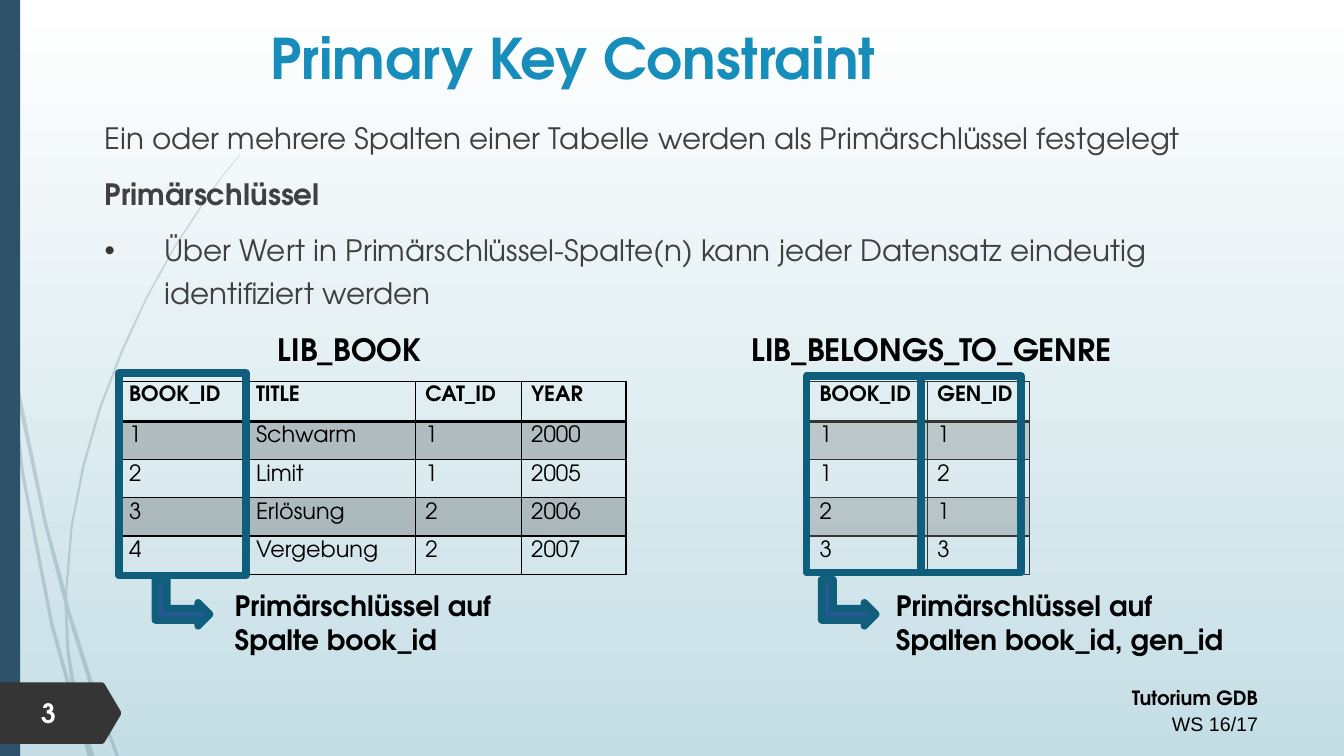
from lxml.etree import SubElement
from pptx import Presentation
from pptx.dml.color import RGBColor
from pptx.enum.shapes import MSO_SHAPE
from pptx.enum.text import MSO_ANCHOR, MSO_AUTO_SIZE, PP_ALIGN
from pptx.oxml.ns import qn
from pptx.util import Pt

COLORS = {
    "sky": "C5DEE5", "white": "FFFFFF", "black": "000000", "dark": "353535",
    "body": "404040", "title": "178DBB", "bar": "2E5369",
    "frame": "0F5E7C", "arrow": "265991",
}
FONT = "TeX Gyre Adventor"


class SlideBuilder:
    def __init__(self, slide):
        self.s = slide

    def rgb(self, name):
        return RGBColor.from_string(COLORS[name])

    def background(self, top, bottom):
        fill = self.s.background.fill
        fill.gradient()
        fill.gradient_angle = 270
        for stop, name in zip(fill.gradient_stops, (top, bottom)):
            stop.color.rgb = self.rgb(name)

    def fill(self, target, color=None):
        if color is None:
            target.fill.background()
        else:
            target.fill.solid()
            target.fill.fore_color.rgb = self.rgb(color)

    def opacity(self, props, percent):
        clr = props.find(qn("a:solidFill"))[0]
        SubElement(clr, qn("a:alpha"), val=str(percent * 1000))

    def line(self, sp, color=None, width=5.25):
        if color is None:
            sp.line.fill.background()
        else:
            sp.line.color.rgb = self.rgb(color)
            sp.line.width = Pt(width)

    def shape(self, kind, box, fill=None, line=None, rotation=0):
        sp = self.s.shapes.add_shape(kind, *map(Pt, box))
        sp.shadow.inherit = False
        sp.rotation = rotation
        self.fill(sp, fill)
        self.line(sp, line)

    def outline(self, points, fill, percent=100):
        first, *rest = [(Pt(x), Pt(y)) for x, y in points]
        fb = self.s.shapes.build_freeform(*first)
        fb.add_line_segments(rest, close=True)
        sp = fb.convert_to_shape()
        sp.shadow.inherit = False
        self.fill(sp, fill)
        self.opacity(sp._element.spPr, percent)
        self.line(sp)

    def style_text(self, p, text, size, color="black", bold=True, font=FONT, **para):
        for key, value in para.items():
            setattr(p, key, value)
        r = p.add_run()
        r.text = text
        fmt = {"size": Pt(size), "name": font, "bold": bold}
        for key, value in fmt.items():
            setattr(r.font, key, value)
        r.font.color.rgb = self.rgb(color)

    def bullet(self, p, char, indent, color):
        pPr = p._p.get_or_add_pPr()
        pPr.set("marL", str(Pt(indent)))
        pPr.set("indent", str(Pt(-indent)))
        SubElement(SubElement(pPr, qn("a:buClr")), qn("a:srgbClr"), val=COLORS[color])
        SubElement(pPr, qn("a:buFont"), typeface="Arial")
        SubElement(pPr, qn("a:buChar"), char=char)

    def title(self, text, box, size, color):
        sp = self.s.shapes.title
        for key, value in zip(("left", "top", "width", "height"), box):
            setattr(sp, key, Pt(value))
        tf = sp.text_frame
        fmt = {"auto_size": MSO_AUTO_SIZE.NONE, "vertical_anchor": MSO_ANCHOR.MIDDLE}
        for key, value in fmt.items():
            setattr(tf, key, value)
        self.style_text(tf.paragraphs[0], text, size, color, alignment=PP_ALIGN.CENTER)

    def text(self, box, *paragraphs):
        tf = self.s.shapes.add_textbox(*map(Pt, box)).text_frame
        tf.word_wrap = True
        for i, fmt in enumerate(paragraphs):
            p = tf.add_paragraph() if i else tf.paragraphs[0]
            self.style_text(p, **fmt)
        return tf

    def borders(self, cell, color, bottom):
        tcPr = cell._tc.get_or_add_tcPr()
        for side in "LRTB":
            width = bottom if side == "B" else 1
            ln = SubElement(tcPr, qn("a:ln" + side), w=str(Pt(width)))
            SubElement(SubElement(ln, qn("a:solidFill")), qn("a:srgbClr"), val=COLORS[color])

    def table(self, left, top, widths, heights, rows, color):
        box = (left, top, sum(widths), sum(heights))
        tbl = self.s.shapes.add_table(len(rows), len(widths), *map(Pt, box)).table
        tbl.first_row = tbl.horz_banding = False
        for col, width in zip(tbl.columns, widths):
            col.width = Pt(width)
        for i, (row, height) in enumerate(zip(rows, heights)):
            tbl.rows[i].height = Pt(height)
            header, shaded = i == 0, i % 2 == 1
            for j, text in enumerate(row):
                cell = tbl.cell(i, j)
                p = cell.text_frame.paragraphs[0]
                self.style_text(p, text, 15 if header else 16, bold=header)
                self.borders(cell, color, 2 if header else 1)
                self.fill(cell, color if shaded else None)
                if shaded:
                    self.opacity(cell._tc.tcPr, 20)


# Decorative strands, as outline points
STRANDS = [
    [(5.8, 252), (4.3, 231.8), (0, 203), (0, 215.3), (5.8, 247.7)],
    [(31.7, 375.8), (46.1, 431.3), (46.8, 421.9), (33.8, 374.4), (7.9, 248.4), (9.4, 270.7)],
    [(50.4, 437), (48.2, 429.1), (48.2, 439.2), (67, 499.7), (82.8, 540), (85, 540), (69.8, 498.2)],
    [(65.5, 540), (67.7, 540), (57.6, 511.9)],
    [(51.1, 491.8), (38.2, 445.7), (17.3, 337.7), (9.4, 270.7), (5.8, 252),
     (15.1, 338.4), (36, 447.1), (50.4, 499), (55.4, 514.1), (54, 509)],
    [(46.1, 431.3), (47.5, 465.1), (51.1, 491.8), (52.6, 498.2), (57.6, 511.9),
     (56.9, 508.3), (49.7, 465.1), (48.2, 439.2), (48.2, 437.8)],
    [(48.2, 420.5), (52, 376), (60.5, 332.6), (72.5, 291), (87.8, 251.3), (105.3, 213),
     (125.3, 176.4), (147.6, 142.6), (159.1, 126), (171.4, 110.9), (171.4, 110.2),
     (158.4, 126), (146.9, 141.8), (124.6, 175.7), (104.2, 212.4), (86.4, 250.6),
     (71, 290.5), (59, 331.9), (50.4, 375.7), (46.8, 420.5), (48.2, 429.1)],
    [(55.4, 514.1), (62.6, 540), (64.8, 540)],
    [(48.2, 437.8), (48.2, 439.2), (48.2, 429.1), (46.8, 421.9), (46.1, 431.3)],
    [(53.3, 498.2), (51.1, 491.8), (54, 509), (55.4, 514.1), (64.8, 540), (65.5, 540), (57.6, 511.9)],
]
ROW_HEIGHTS = [28.8] + [27.3] * 4
BOOKS = [
    ("BOOK_ID", "TITLE", "CAT_ID", "YEAR"),
    ("1", "Schwarm", "1", "2000"),
    ("2", "Limit", "1", "2005"),
    ("3", "Erlösung", "2", "2006"),
    ("4", "Vergebung", "2", "2007"),
]
GENRES = [("BOOK_ID", "GEN_ID"), ("1", "1"), ("1", "2"), ("2", "1"), ("3", "3")]


def main():
    prs = Presentation()
    prs.slide_width, prs.slide_height = Pt(960), Pt(540)
    b = SlideBuilder(prs.slides.add_slide(prs.slide_layouts[5]))

    # Background, side bar and page tag
    b.background("white", "sky")
    for points in STRANDS:
        b.outline(points, "bar", 20)
    b.shape(MSO_SHAPE.RECTANGLE, (0, 0, 14.4, 540), "bar")
    b.outline([(0, 487.4), (73, 487.4), (74.5, 488.2), (86.4, 508.3), (86.4, 510.5),
               (74.5, 530.6), (73, 531.4), (0, 531.4)], "dark")
    b.text((22.3, 493.9, 50.4, 30.2), dict(text="3", size=19, color="white"))
    footer = dict(size=14, alignment=PP_ALIGN.RIGHT, line_spacing=1.14)
    b.text((531.4, 483.8, 374.4, 46.1), dict(text="Tutorium GDB", **footer),
           dict(text="WS 16/17", bold=False, font="Arial", **footer))

    # Title and explanation
    b.title("Primary Key Constraint", (86.4, 11.5, 645.8, 58.3), 40, "title")
    body = dict(size=21, color="body", line_spacing=1.2, space_before=Pt(10))
    tf = b.text(
        (67.7, 77, 834.5, 164.9),
        dict(text="Ein oder mehrere Spalten einer Tabelle werden als Primärschlüssel festgelegt",
             bold=False, **body),
        dict(text="Primärschlüssel", **body),
        dict(text="Über Wert in Primärschlüssel-Spalte(n) kann jeder Datensatz eindeutig "
                  "identifiziert werden", bold=False, **body))
    b.bullet(tf.paragraphs[2], "•", 42.5, "dark")

    # Tables
    b.table(85, 272.2, [90.7, 121, 75.6, 74.9], ROW_HEIGHTS, BOOKS, "black")
    b.table(578.2, 272.2, [84.2, 72.7], ROW_HEIGHTS, GENRES, "dark")

    # Frames around the key columns
    for box in ((85, 266.4, 90.7, 144.7), (576, 268.6, 82.1, 140.4), (657.4, 268.6, 72, 140.4)):
        b.shape(MSO_SHAPE.RECTANGLE, box, line="frame")

    # Table names, arrows and captions
    for name, name_x, name_w, arrow_x, caption, caption_x, caption_w in (
        ("LIB_BOOK", 191.5, 204.5, 113.8, "Primärschlüssel auf Spalte book_id", 160.6, 247.7),
        ("LIB_BELONGS_TO_GENRE", 529.9, 292.3, 589.7,
         "Primärschlüssel auf Spalten book_id, gen_id", 632.9, 255.6),
    ):
        b.text((name_x, 232.6, name_w, 33.8), dict(text=name, size=22))
        b.shape(MSO_SHAPE.BENT_UP_ARROW, (arrow_x, 411.1, 33.1, 38.9), "arrow", "frame", 90)
        b.text((caption_x, 416.9, caption_w, 55.4), dict(text=caption, size=20))

    prs.save("out.pptx")


if __name__ == "__main__":
    main()
